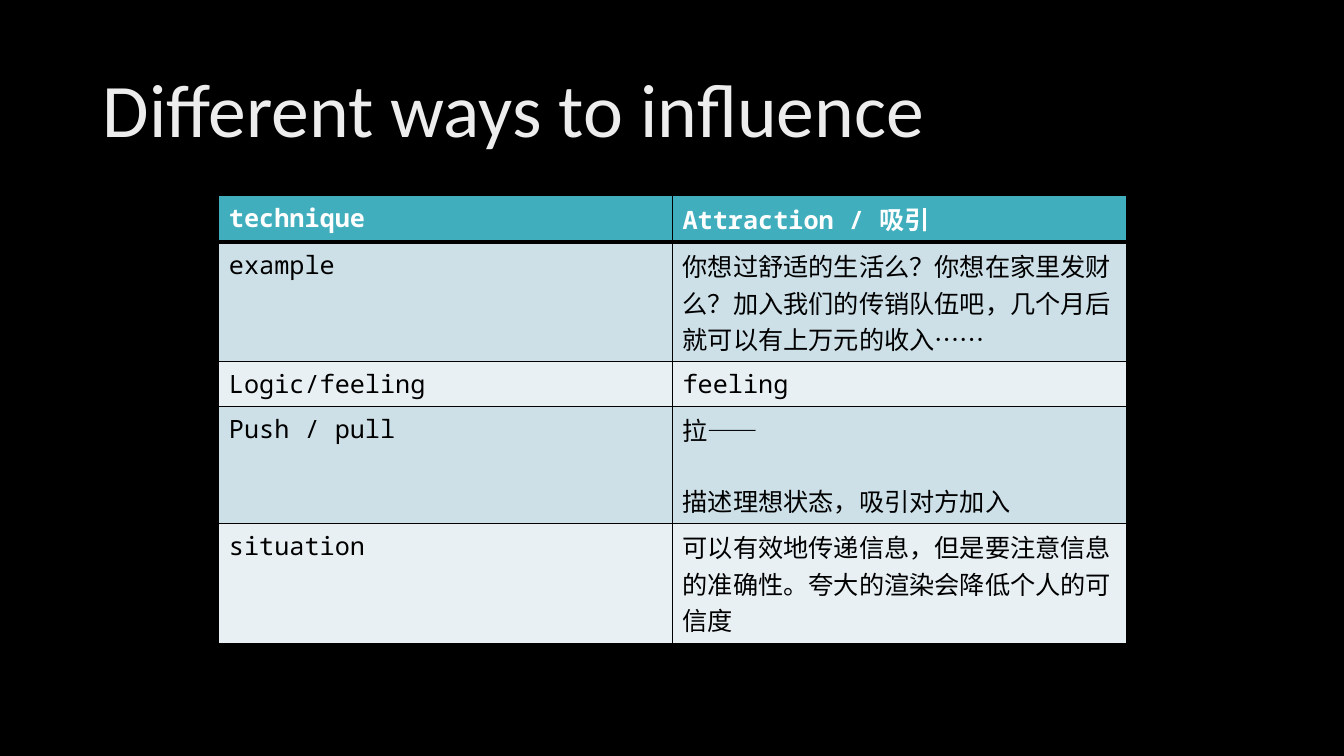
from dataclasses import dataclass

from pptx import Presentation
from pptx.dml.color import RGBColor
from pptx.enum.lang import MSO_LANGUAGE_ID as Language
from pptx.enum.text import MSO_ANCHOR as Anchor, MSO_AUTO_SIZE as AutoSize, PP_ALIGN as Align
from pptx.oxml import parse_xml
from pptx.oxml.ns import nsdecls
from pptx.slide import Slide
from pptx.table import _Cell as Cell
from pptx.util import Inches, Pt


@dataclass(frozen=True)
class Theme:
    black: str = "000000"
    white: str = "FFFFFF"
    header: str = "41AEBD"
    bands: tuple[str, str] = ("CDE0E8", "E8F0F4")
    title_stops: tuple[tuple[int, str], ...] = ((0, "BFBFBF"), (28, "EDEDED"), (100, "FFFFFF"))
    title_angle: int = 80
    title_font: str = "Calibri"
    table_font: str = "Noto Sans Mono"
    title_size: int = 54
    table_size: int = 18
    thin: int = 1
    thick: int = 3
    paragraph_gap: float = 24.5


@dataclass(frozen=True)
class CellStyle:
    fill: str
    text: str
    bold: bool
    top: int
    bottom: int


THEME = Theme()
TITLE = "Different ways to influence"
ROWS: list[tuple[str, list[str]]] = [
    ("technique", ["Attraction / 吸引"]),
    ("example", ["你想过舒适的生活么？你想在家里发财么？加入我们的传销队伍吧，几个月后就可以有上万元的收入……"]),
    ("Logic/feeling", ["feeling"]),
    ("Push / pull", ["拉——", "描述理想状态，吸引对方加入"]),
    ("situation", ["可以有效地传递信息，但是要注意信息的准确性。夸大的渲染会降低个人的可信度"]),
]


def apply(target: object, values: dict[str, object]) -> None:
    for name, value in values.items():
        setattr(target, name, value)


def add_title(slide: Slide, text: str) -> None:
    title = slide.shapes.title
    apply(title, {"left": Inches(0.92), "top": Inches(0.4),
                  "width": Inches(11.5), "height": Inches(1.45)})
    apply(title.text_frame, {"text": text, "vertical_anchor": Anchor.MIDDLE,
                             "word_wrap": True, "auto_size": AutoSize.NONE})
    paragraph = title.text_frame.paragraphs[0]
    apply(paragraph, {"alignment": Align.LEFT, "line_spacing": 0.9})
    run = paragraph.runs[0]
    apply(run.font, {"name": THEME.title_font, "size": Pt(THEME.title_size)})
    # Gradient text fill
    stops = "".join(f'<a:gs pos="{position * 1000}"><a:srgbClr val="{color}"/></a:gs>'
                    for position, color in THEME.title_stops)
    run._r.get_or_add_rPr().insert(0, parse_xml(
        f'<a:gradFill {nsdecls("a")}><a:gsLst>{stops}</a:gsLst>'
        f'<a:lin ang="{THEME.title_angle * 60000}" scaled="0"/></a:gradFill>'))


def set_borders(cell: Cell, style: CellStyle) -> None:
    widths = {"lnL": THEME.thin, "lnR": THEME.thin, "lnT": style.top, "lnB": style.bottom}
    properties = cell._tc.get_or_add_tcPr()
    for index, (side, width) in enumerate(widths.items()):
        properties.insert(index, parse_xml(
            f'<a:{side} {nsdecls("a")} w="{Pt(width)}"><a:solidFill>'
            f'<a:srgbClr val="{THEME.black}"/></a:solidFill></a:{side}>'))


def fill_cell(cell: Cell, lines: list[str], style: CellStyle) -> None:
    cell.fill.solid()
    cell.fill.fore_color.rgb = RGBColor.from_string(style.fill)
    set_borders(cell, style)
    cell.text = "\n".join(lines)
    for index, paragraph in enumerate(cell.text_frame.paragraphs):
        if index:
            paragraph.space_before = Pt(THEME.paragraph_gap)
        font = paragraph.runs[0].font
        apply(font, {"name": THEME.table_font, "size": Pt(THEME.table_size),
                     "bold": style.bold, "language_id": Language.SIMPLIFIED_CHINESE})
        font.color.rgb = RGBColor.from_string(style.text)


def row_style(index: int) -> CellStyle:
    if index == 0:
        return CellStyle(THEME.header, THEME.white, True, THEME.thin, THEME.thick)
    top = THEME.thick if index == 1 else THEME.thin
    return CellStyle(THEME.bands[(index - 1) % 2], THEME.black, False, top, THEME.thin)


def add_technique_table(slide: Slide) -> None:
    frame = slide.shapes.add_table(len(ROWS), 2, Inches(2.17), Inches(1.94),
                                   Inches(9), Inches(3.22))
    table = frame.table
    for index, (label, lines) in enumerate(ROWS):
        # Rows grow with their text
        table.rows[index].height = Inches(0.41)
        fill_cell(table.cell(index, 0), [label], row_style(index))
        fill_cell(table.cell(index, 1), lines, row_style(index))
    frame.height = Inches(3.22)


def main() -> None:
    presentation = Presentation()
    apply(presentation, {"slide_width": Inches(13.33), "slide_height": Inches(7.5)})
    slide = presentation.slides.add_slide(presentation.slide_layouts[5])
    # Background
    background = slide.background.fill
    background.solid()
    background.fore_color.rgb = RGBColor.from_string(THEME.black)
    # Content
    add_title(slide, TITLE)
    add_technique_table(slide)
    presentation.save("out.pptx")


if __name__ == "__main__":
    main()
